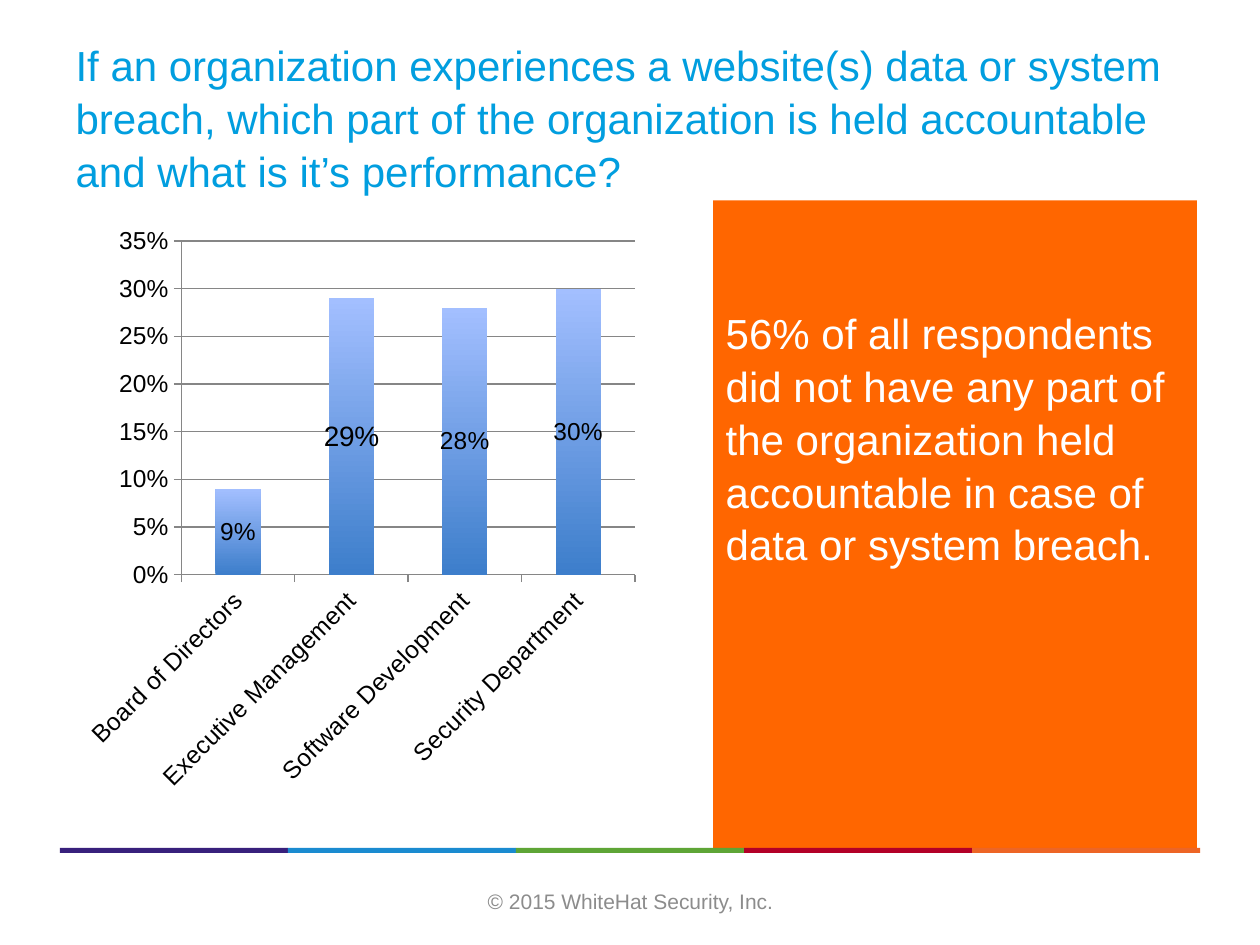
"""Build the breach accountability slide with a chart and a callout."""
from dataclasses import dataclass

from lxml.etree import SubElement
from pptx import Presentation
from pptx.chart.data import CategoryChartData
from pptx.dml.color import RGBColor
from pptx.enum.chart import XL_CHART_TYPE as ChartType, XL_LABEL_POSITION as LabelPosition
from pptx.enum.chart import XL_TICK_MARK as TickMark
from pptx.enum.shapes import MSO_SHAPE as Preset
from pptx.enum.text import MSO_ANCHOR as Anchor, PP_ALIGN as Align
from pptx.oxml.ns import qn
from pptx.util import Inches, Pt

COLUMNS, ROWS = 100, 75
CELL = Inches(0.1)
FONT = "Arial"
STRIPE_COLORS = ["38207C", "1A8BD0", "5EA536", "B30027", "ED6525"]
TITLE = ("If an organization experiences a website(s) data or system breach, which part "
         "of the organization is held accountable and what is it’s performance?")
CALLOUT = ("56% of all respondents did not have any part of the organization held "
           "accountable in case of data or system breach.")
SHARES = {
    "Board of Directors": 0.09,
    "Executive Management": 0.29,
    "Software Development": 0.28,
    "Security Department": 0.3,
}


@dataclass(frozen=True)
class Area:
    column: float
    row: float
    width: float
    height: float

    def lengths(self) -> list[int]:
        return [round(value * CELL) for value in (self.column, self.row, self.width, self.height)]


def rgb(color: str) -> RGBColor:
    return RGBColor.from_string(color)


def style_font(font, size: float, color: str) -> None:
    font.name, font.size = FONT, Pt(size)
    font.color.rgb = rgb(color)


def write(shape, area: Area, text: str, size: float, color: str,
          align: Align = Align.LEFT, anchor: Anchor = Anchor.MIDDLE, spacing: float = 1.0) -> None:
    shape.left, shape.top, shape.width, shape.height = area.lengths()
    frame = shape.text_frame
    frame.text = text
    frame.word_wrap = True
    frame.vertical_anchor = anchor
    paragraph = frame.paragraphs[0]
    paragraph.alignment = align
    paragraph.line_spacing = spacing
    paragraph.space_before = Pt(0)
    style_font(paragraph.runs[0].font, size, color)


def draw_stripes(slide, band: Area, colors: list[str]) -> None:
    width = band.width / len(colors)
    for index, color in enumerate(colors):
        area = Area(band.column + index * width, band.row, width, band.height)
        stripe = slide.shapes.add_shape(Preset.RECTANGLE, *area.lengths())
        stripe.shadow.inherit = False
        stripe.fill.solid()
        stripe.fill.fore_color.rgb = rgb(color)
        stripe.line.fill.background()


def fill_callout(shape, area: Area) -> None:
    write(shape, area, CALLOUT, 24, "FFFFFF", anchor=Anchor.TOP, spacing=1.05)
    shape.fill.solid()
    shape.fill.fore_color.rgb = rgb("FF6600")
    shape.text_frame.margin_top = Inches(0.83)
    properties = shape.text_frame.paragraphs[0]._p.get_or_add_pPr()
    properties.set("marL", "0")
    properties.set("indent", "0")
    SubElement(properties, qn("a:buNone"))


def style_axis(axis) -> None:
    axis.major_tick_mark = TickMark.OUTSIDE
    axis.minor_tick_mark = TickMark.NONE
    axis.format.line.color.rgb = rgb("868686")
    style_font(axis.tick_labels.font, 14, "000000")


def draw_chart(slide, area: Area) -> None:
    data = CategoryChartData(number_format="0%")
    data.categories = list(SHARES)
    data.add_series("Series 1", list(SHARES.values()))
    chart = slide.shapes.add_chart(ChartType.COLUMN_CLUSTERED, *area.lengths(), data).chart
    chart.has_legend = chart.has_title = False
    style_font(chart.font, 14, "000000")

    categories, values = chart.category_axis, chart.value_axis
    style_axis(categories)
    style_axis(values)
    categories._element.find(qn("c:txPr")).find(qn("a:bodyPr")).set("rot", "-2700000")
    values.minimum_scale, values.maximum_scale, values.major_unit = 0, 0.35, 0.05
    values.major_gridlines.format.line.color.rgb = rgb("868686")
    values.tick_labels.number_format = "0%"
    values.tick_labels.number_format_is_linked = False

    plot = chart.plots[0]
    plot.gap_width = 150
    plot.vary_by_categories = False
    series = plot.series[0]
    fill = series.format.fill
    fill.gradient()
    fill.gradient_angle = 90
    for stop, color in zip(fill.gradient_stops, ("3D7ECB", "A3BFFF")):
        stop.color.rgb = rgb(color)

    labels = series.data_labels
    labels.show_value = True
    labels.position = LabelPosition.CENTER
    labels.number_format = "0%"
    labels.number_format_is_linked = False
    style_font(labels.font, 14, "000000")
    larger = series.points[1].data_label
    style_font(larger.font, 16, "000000")
    larger.position = LabelPosition.CENTER


def main() -> None:
    presentation = Presentation()
    presentation.slide_width, presentation.slide_height = COLUMNS * CELL, ROWS * CELL
    slide = presentation.slides.add_slide(presentation.slide_layouts[1])
    title, body = slide.placeholders
    draw_stripes(slide, Area(4.75, 67.3, 90.5, 0.4), STRIPE_COLORS)
    footer = slide.shapes.add_textbox(0, 0, CELL, CELL)
    write(footer, Area(34.2, 69.5, 31.7, 4), "© 2015 WhiteHat Security, Inc.", 12, "8C8C8C",
          align=Align.CENTER)
    fill_callout(body, Area(56.6, 15.9, 38.4, 51.4))
    write(title, Area(5, 3, 90, 12.5), TITLE, 24, "019EDF", spacing=1.05)
    draw_chart(slide, Area(5.9, 17.1, 45.4, 46.6))
    presentation.save("out.pptx")


if __name__ == "__main__":
    main()
